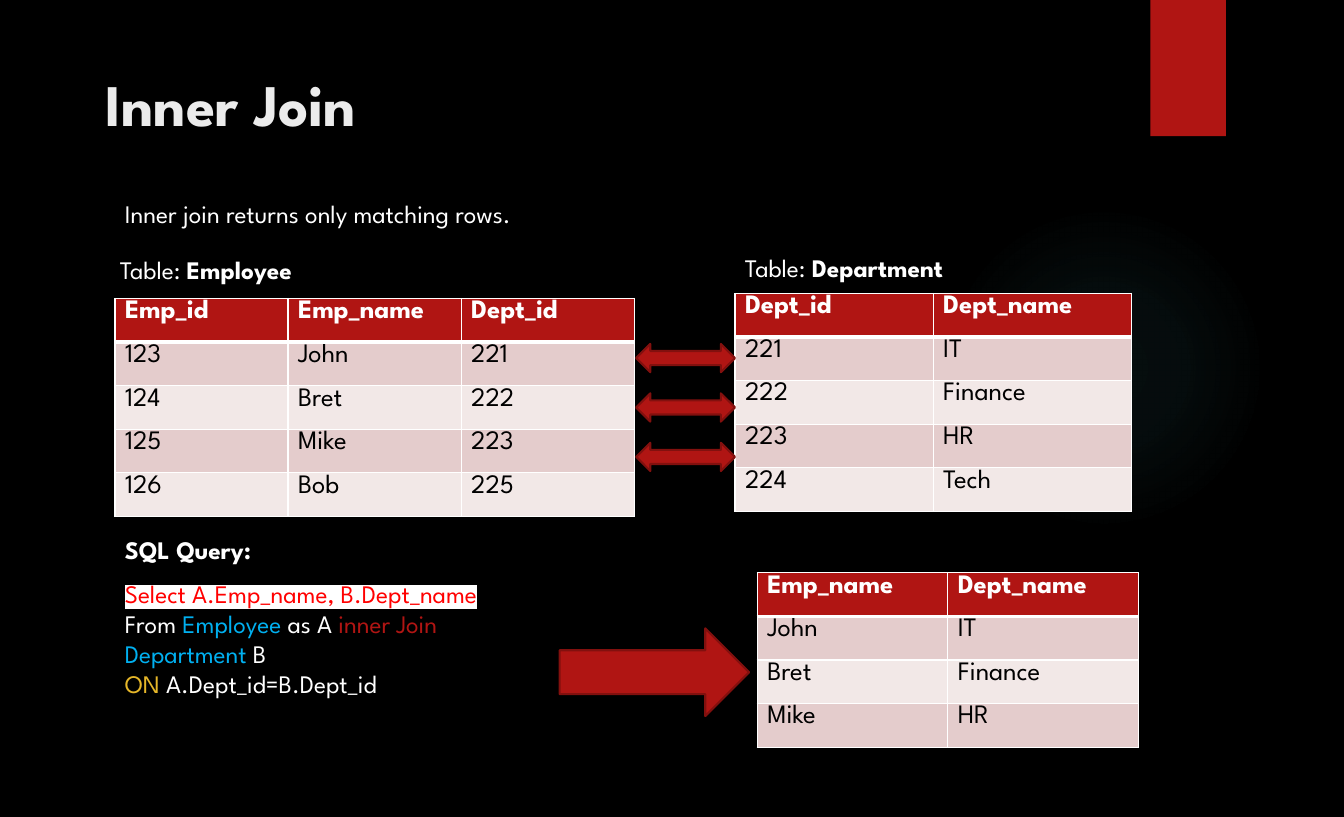
from lxml import etree
from pptx import Presentation
from pptx.dml.color import RGBColor
from pptx.enum.shapes import MSO_SHAPE
from pptx.enum.text import MSO_ANCHOR, PP_ALIGN
from pptx.oxml import parse_xml
from pptx.oxml.ns import qn
from pptx.util import Inches, Pt

OVAL, RECTANGLE = MSO_SHAPE.OVAL, MSO_SHAPE.RECTANGLE
RIGHT_ARROW, DOUBLE_ARROW = MSO_SHAPE.RIGHT_ARROW, MSO_SHAPE.LEFT_RIGHT_ARROW
TOP, LEFT = MSO_ANCHOR.TOP, PP_ALIGN.LEFT

FONT = "League Spartan"
BLACK = RGBColor(0x00, 0x00, 0x00)
WHITE = RGBColor(0xFF, 0xFF, 0xFF)
OFF_WHITE = RGBColor(0xEB, 0xEB, 0xEB)
CRIMSON = RGBColor(0xB0, 0x15, 0x13)
DARK_RED = RGBColor(0x82, 0x10, 0x0E)
RED = RGBColor(0xFF, 0x00, 0x00)
SKY = RGBColor(0x00, 0xB0, 0xF0)
GOLD = RGBColor(0xE6, 0xB7, 0x29)
GLOW = RGBColor(0x50, 0xB9, 0xC1)
BANDS = [RGBColor(0xE4, 0xCC, 0xCC), RGBColor(0xF2, 0xE8, 0xE7)]
DRAWING_NS = 'xmlns:a="http://schemas.openxmlformats.org/drawingml/2006/main"'


def style_run(run, size, color, bold=False):
    run.font.name = FONT
    run.font.size = Pt(size)
    run.font.color.rgb = color
    run.font.bold = bold


def add_text(left, top, width, height, lines):
    """Add a text box; each line is a list of (text, color, bold) runs."""
    box = slide.shapes.add_textbox(Inches(left), Inches(top), Inches(width), Inches(height))
    frame = box.text_frame
    frame.word_wrap = True
    for number, line in enumerate(lines):
        paragraph = frame.add_paragraph() if number else frame.paragraphs[0]
        for text, color, bold in line:
            run = paragraph.add_run()
            run.text = text
            style_run(run, 18, color, bold)
    return frame


prs = Presentation()
prs.slide_width, prs.slide_height = Inches(13.33), Inches(8.1)
slide = prs.slides.add_slide(prs.slide_layouts[5])
slide.background.fill.solid()
slide.background.fill.fore_color.rgb = BLACK

# Background glow and corner ribbon
glow = slide.shapes.add_shape(OVAL, Inches(9.41), Inches(1.98), Inches(3.08), Inches(3.33))
glow.shadow.inherit = False
glow.line.fill.background()
stops = "".join(
    f'<a:gs pos="{position * 1000}"><a:srgbClr val="{GLOW}"><a:alpha val="{alpha * 1000}"/></a:srgbClr></a:gs>'
    for position, alpha in [(0, 7), (36, 6), (69, 0), (100, 0)])
glow_fill = parse_xml(
    f'<a:gradFill {DRAWING_NS}><a:gsLst>{stops}</a:gsLst><a:path path="circle">'
    '<a:fillToRect l="50000" t="50000" r="50000" b="50000"/></a:path></a:gradFill>')
glow._element.spPr.find(qn("a:prstGeom")).addnext(glow_fill)

ribbon = slide.shapes.add_shape(RECTANGLE, Inches(11.41), 0, Inches(0.75), Inches(1.35))
ribbon.shadow.inherit = False
ribbon.fill.solid()
ribbon.fill.fore_color.rgb = CRIMSON
ribbon.line.fill.background()

title = slide.shapes.title
title.left, title.top, title.width, title.height = (Inches(n) for n in (0.95, 0.62, 10.56, 1.2))
title.text_frame.text = "Inner Join"
title.text_frame.vertical_anchor = TOP
title.text_frame.paragraphs[0].alignment = LEFT
style_run(title.text_frame.paragraphs[0].runs[0], 42, OFF_WHITE, True)

# Source tables and join result
ROW_HEIGHT = 0.432
employee = [("Emp_id", "Emp_name", "Dept_id"), ("123", "John", "221"), ("124", "Bret", "222"),
            ("125", "Mike", "223"), ("126", "Bob", "225")]
department = [("Dept_id", "Dept_name"), ("221", "IT"), ("222", "Finance"), ("223", "HR"), ("224", "Tech")]
joined = [("Emp_name", "Dept_name"), ("John", "IT"), ("Bret", "Finance"), ("Mike", "HR")]
for left, top, width, rows in [(1.14, 2.96, 5.15, employee), (7.29, 2.91, 3.93, department),
                               (7.51, 5.68, 3.78, joined)]:
    table = slide.shapes.add_table(len(rows), len(rows[0]), Inches(left), Inches(top),
                                   Inches(width), Inches(ROW_HEIGHT * len(rows))).table
    for r, row in enumerate(rows):
        for c, value in enumerate(row):
            cell = table.cell(r, c)
            cell.text_frame.text = value
            paragraph = cell.text_frame.paragraphs[0]
            paragraph.line_spacing = 0.78
            style_run(paragraph.runs[0], 19, BLACK if r else WHITE, r == 0)
            cell_properties = cell._tc.get_or_add_tcPr()
            for side in "LRTB":
                thick = (r, side) in [(0, "B"), (1, "T")]
                border = etree.SubElement(cell_properties, qn(f"a:ln{side}"), w=str(Pt(3 if thick else 1)))
                border_fill = etree.SubElement(border, qn("a:solidFill"))
                etree.SubElement(border_fill, qn("a:srgbClr"), val=str(WHITE))
            cell.fill.solid()
            cell.fill.fore_color.rgb = BANDS[(r - 1) % 2] if r else CRIMSON

# Explanations and query
query = add_text(1.14, 5.68, 4.9, 1.31, [
    [("Select A.Emp_name, B.Dept_name", RED, False)],
    [("From ", WHITE, False), ("Employee ", SKY, False), ("as A ", WHITE, False), ("inner Join", CRIMSON, False)],
    [("Department", SKY, False), (" B", WHITE, False)],
    [("ON ", GOLD, False), ("A.Dept_id=B.Dept_id", WHITE, False)],
])
select_properties = query.paragraphs[0].runs[0]._r.rPr
select_properties.find(qn("a:latin")).addprevious(
    parse_xml(f'<a:highlight {DRAWING_NS}><a:srgbClr val="{WHITE}"/></a:highlight>'))
add_text(1.14, 5.25, 1.85, 0.4, [[("SQL Query:", WHITE, True)]])
add_text(1.14, 1.92, 5.45, 0.71, [[("Inner join returns only matching rows.", WHITE, False)]])
for left, top, name in [(1.09, 2.47, "Employee"), (7.29, 2.45, "Department")]:
    add_text(left, top, 2.6, 0.4, [[("Table: ", WHITE, False), (name, WHITE, True)]])

# Arrows between matching rows, and to the result
match_arrows = [(DOUBLE_ARROW, 6.31, 3.41 + 0.49 * n, 0.98, 0.28) for n in range(3)]
for kind, left, top, width, height in [(RIGHT_ARROW, 5.55, 6.23, 1.88, 0.87), *match_arrows]:
    arrow = slide.shapes.add_shape(kind, Inches(left), Inches(top), Inches(width), Inches(height))
    arrow.shadow.inherit = False
    arrow.fill.solid()
    arrow.fill.fore_color.rgb = CRIMSON
    arrow.line.color.rgb = DARK_RED
    arrow.line.width = Pt(1.5)

prs.save("out.pptx")
